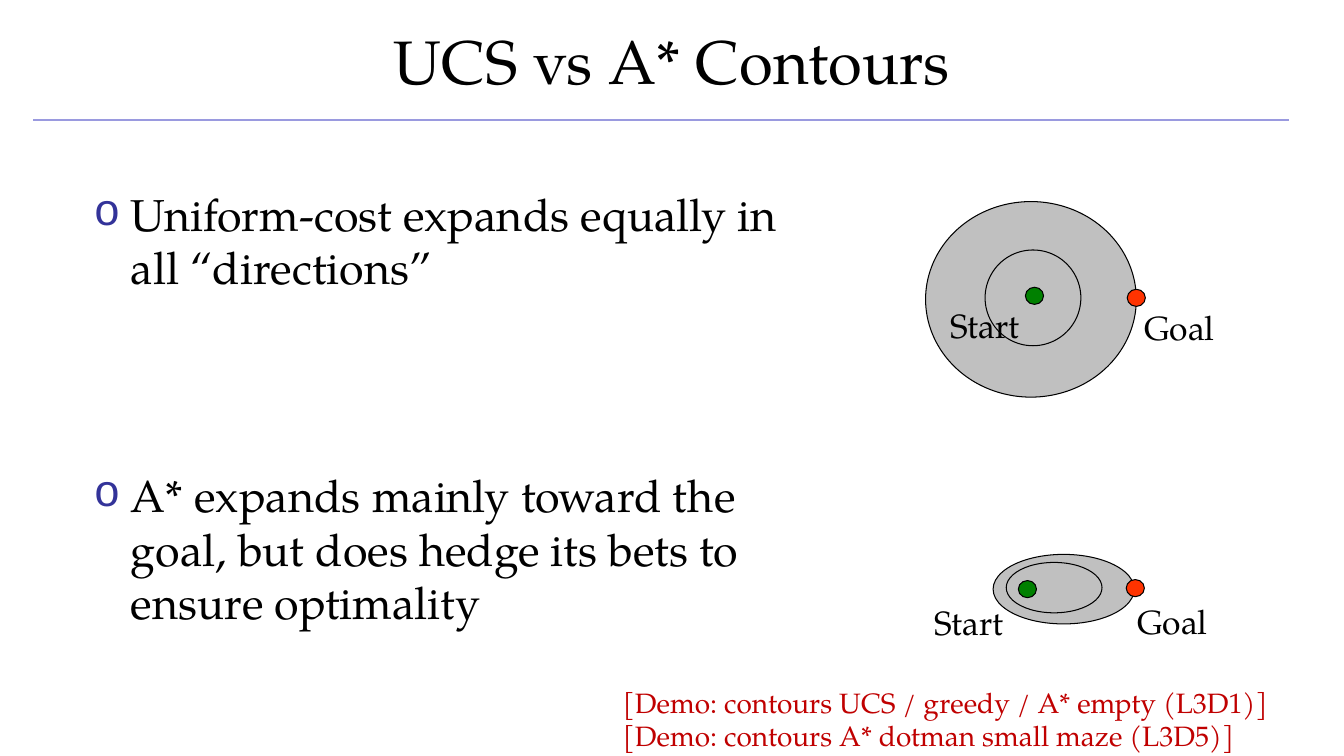
"""Builds a slide comparing the search contours of UCS and A*."""
from lxml.etree import SubElement
from pptx import Presentation
from pptx.dml.color import RGBColor
from pptx.enum.shapes import MSO_CONNECTOR as Connector, MSO_SHAPE as Shape
from pptx.enum.text import MSO_ANCHOR as Anchor, MSO_AUTO_SIZE as AutoSize, PP_ALIGN as Align
from pptx.oxml.ns import qn
from pptx.util import Inches, Pt

FONT = "TeX Gyre Pagella"
BULLET_FONT = "Courier New"
COLORS = {
    "text": "000000", "rule": "9A9ADF", "bullet": "333399", "demo": "C00000",
    "area": "C0C0C0", "start": "008000", "goal": "FF3300",
}
TITLE = "UCS vs A* Contours"
BULLETS = [
    "Uniform-cost expands equally in all “directions”",
    "A* expands mainly toward the goal, but does hedge its bets to ensure optimality",
]
BULLET_GAP = 124
DEMOS = [
    "[Demo: contours UCS / greedy / A* empty (L3D1)]",
    "[Demo: contours A* dotman small maze (L3D5)]",
]
DOT_SIZE = (0.18, 0.17)
LABEL_SIZE = (1, 0.5)
CONTOURS = [
    {
        "outer": (9.18, 2, 2.09, 1.94), "inner": (9.77, 2.48, 0.95, 0.95),
        "marks": [("Start", "start", (10.17, 2.85), (9.33, 2.98)),
                  ("Goal", "goal", (11.18, 2.87), (11.25, 3))],
    },
    {
        "outer": (9.85, 5.5, 1.4, 0.69), "inner": (9.98, 5.58, 0.95, 0.5),
        "marks": [("Start", "start", (10.1, 5.76), (9.17, 5.92)),
                  ("Goal", "goal", (11.17, 5.75), (11.18, 5.91))],
    },
]


def color(name):
    return RGBColor.from_string(COLORS[name])


def inches(values):
    return [Inches(value) for value in values]


def style(para, size, name="text"):
    for span in para.runs:
        span.font.name = FONT
        span.font.size = Pt(size)
        span.font.color.rgb = color(name)


def add_text(slide, place, lines, size, name="text"):
    box = slide.shapes.add_textbox(*inches(place))
    frame = box.text_frame
    frame.word_wrap = True
    frame.text = "\n".join(lines)
    for para in frame.paragraphs:
        style(para, size, name)
    return frame


def add_ellipse(slide, place, fill=None):
    ellipse = slide.shapes.add_shape(Shape.OVAL, *inches(place))
    ellipse.shadow.inherit = False
    if fill:
        ellipse.fill.solid()
        ellipse.fill.fore_color.rgb = color(fill)
    else:
        ellipse.fill.background()
    ellipse.line.color.rgb = color("text")
    ellipse.line.width = Pt(0.75)


def add_bullet(para):
    props = para._p.get_or_add_pPr()
    props.set("marL", str(Inches(0.37)))
    props.set("indent", str(-Inches(0.37)))
    tint = SubElement(props, qn("a:buClr"))
    SubElement(tint, qn("a:srgbClr"), val=COLORS["bullet"])
    SubElement(props, qn("a:buFont"), typeface=BULLET_FONT)
    SubElement(props, qn("a:buChar"), char="o")


def add_title(slide):
    title = slide.shapes.title
    title.left, title.top, title.width, title.height = inches((0, -0.03, 13.33, 1.25))
    frame = title.text_frame
    frame.text = TITLE
    frame.auto_size = AutoSize.NONE
    frame.vertical_anchor = Anchor.MIDDLE
    frame.paragraphs[0].alignment = Align.CENTER
    style(frame.paragraphs[0], 44)


def add_rule(slide):
    rule = slide.shapes.add_connector(Connector.STRAIGHT, *inches((0.33, 1.19, 12.78, 1.19)))
    rule.line.color.rgb = color("rule")
    rule.line.width = Pt(1)
    SubElement(rule._element.spPr, qn("a:effectLst"))


def main():
    deck = Presentation()
    deck.slide_width, deck.slide_height = inches((13.33, 7.5))
    slide = deck.slides.add_slide(deck.slide_layouts[5])
    add_rule(slide)
    add_title(slide)

    body = add_text(slide, (0.83, 1.8, 7.33, 4.95), BULLETS, 32)
    for para in body.paragraphs:
        add_bullet(para)
    body.paragraphs[1].space_before = Pt(BULLET_GAP)

    for contour in CONTOURS:
        add_ellipse(slide, contour["outer"], "area")
        add_ellipse(slide, contour["inner"])
        for label, fill, dot, corner in contour["marks"]:
            add_ellipse(slide, dot + DOT_SIZE, fill)
            add_text(slide, corner + LABEL_SIZE, [label], 24)

    add_text(slide, (6.08, 6.75, 7.25, 0.77), DEMOS, 20, "demo")
    deck.save("out.pptx")


if __name__ == "__main__":
    main()
